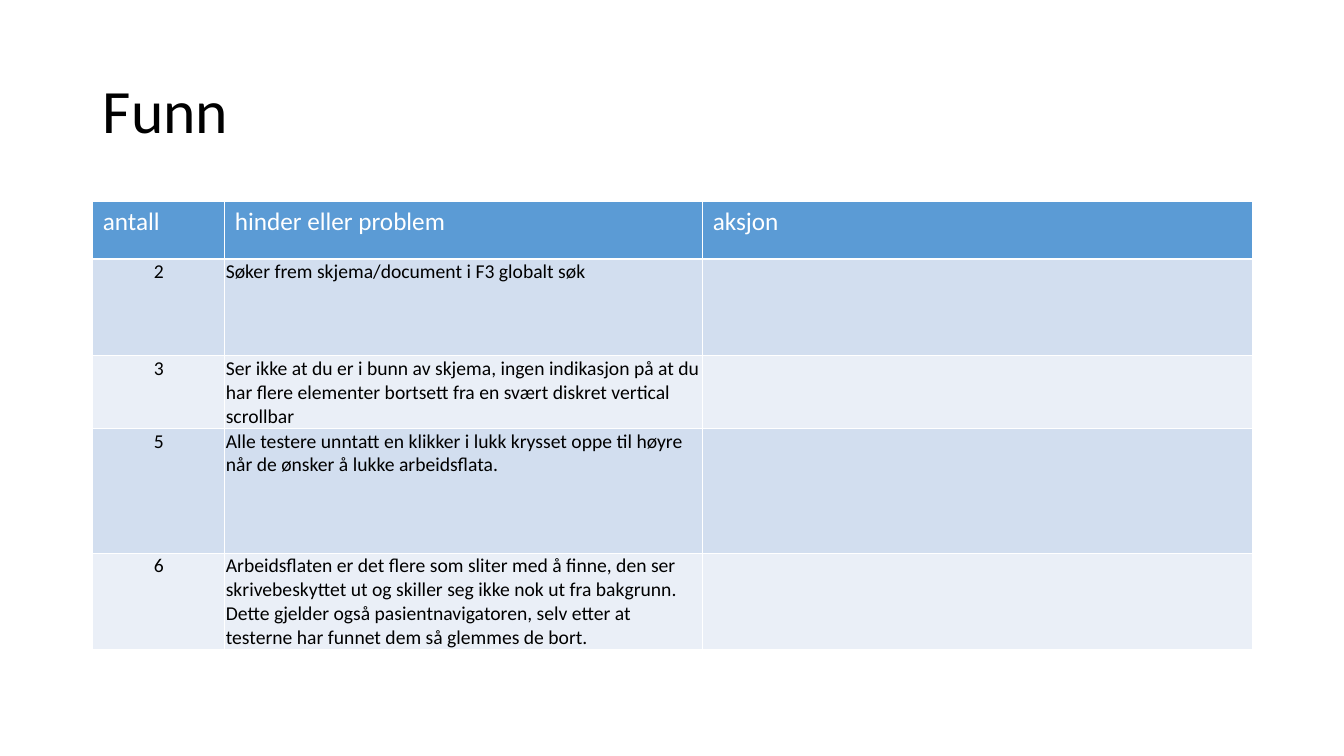
from pptx import Presentation
from pptx import util as u
from pptx.dml.color import RGBColor
from pptx.enum import text

FONT = "Calibri"
HEADER, BANDS = "5B9BD5", ("D2DEEF", "EAEFF7")
COLS = (1.31, 4.74, 5.45)
ROWS = (0.57, 0.96, 0.69, 1.24, 0.84)
HEADINGS = ("antall", "hinder eller problem", "aksjon")
FINDINGS = (
    ("2", "Søker frem skjema/document i F3 globalt søk", ""),
    ("3", "Ser ikke at du er i bunn av skjema, ingen indikasjon på at du "
          "har flere elementer bortsett fra en svært diskret vertical scrollbar", ""),
    ("5", "Alle testere unntatt en klikker i lukk krysset oppe til høyre "
          "når de ønsker å lukke arbeidsflata.", ""),
    ("6", "Arbeidsflaten er det flere som sliter med å finne, den ser "
          "skrivebeskyttet ut og skiller seg ikke nok ut fra bakgrunn. "
          "Dette gjelder også pasientnavigatoren, selv etter at "
          "testerne har funnet dem så glemmes de bort.", ""),
)


def rgb(value):
    return RGBColor.from_string(value)


def write(tf, words, size=14, color="000000", align=text.PP_ALIGN.LEFT, spacing=None):
    p = tf.paragraphs[0]
    p.alignment = align
    p.line_spacing = spacing
    r = p.add_run()
    r.text = words
    r.font.name, r.font.size, r.font.bold = FONT, u.Pt(size), False
    r.font.color.rgb = rgb(color)


def add_title(s, words, x, y, w, h):
    sp = s.shapes.title
    sp.left, sp.top, sp.width, sp.height = map(u.Inches, (x, y, w, h))
    tf = sp.text_frame
    tf.vertical_anchor = text.MSO_ANCHOR.MIDDLE
    write(tf, words, size=44, spacing=0.9)


def add_findings(s, x, y, w, h):
    # The default table style supplies the white cell borders
    table = s.shapes.add_table(len(ROWS), len(COLS), *map(u.Inches, (x, y, w, h))).table
    for column, width in zip(table.columns, COLS):
        column.width = u.Inches(width * w / sum(COLS))
    for row, height in zip(table.rows, ROWS):
        row.height = u.Inches(height * h / sum(ROWS))

    # Header row, then banded rows with tight margins
    for i, values in enumerate((HEADINGS, *FINDINGS)):
        for j, words in enumerate(values):
            cell = table.cell(i, j)
            cell.fill.solid()
            cell.fill.fore_color.rgb = rgb(BANDS[(i - 1) % 2] if i else HEADER)
            if not words:
                continue
            if i == 0:
                write(cell.text_frame, words, size=18, color="FFFFFF")
                continue
            cell.margin_left = cell.margin_right = cell.margin_top = u.Inches(0.01)
            cell.margin_bottom = 0
            align = text.PP_ALIGN.LEFT if j else text.PP_ALIGN.CENTER
            write(cell.text_frame, words, align=align)


def main():
    prs = Presentation()
    prs.slide_width, prs.slide_height = u.Inches(13.33), u.Inches(7.5)
    s = prs.slides.add_slide(prs.slide_layouts[5])
    add_title(s, "Funn", 0.92, 0.4, 11.5, 1.45)
    add_findings(s, 0.92, 2, 11.5, 4.3)
    prs.save("out.pptx")


if __name__ == "__main__":
    main()
